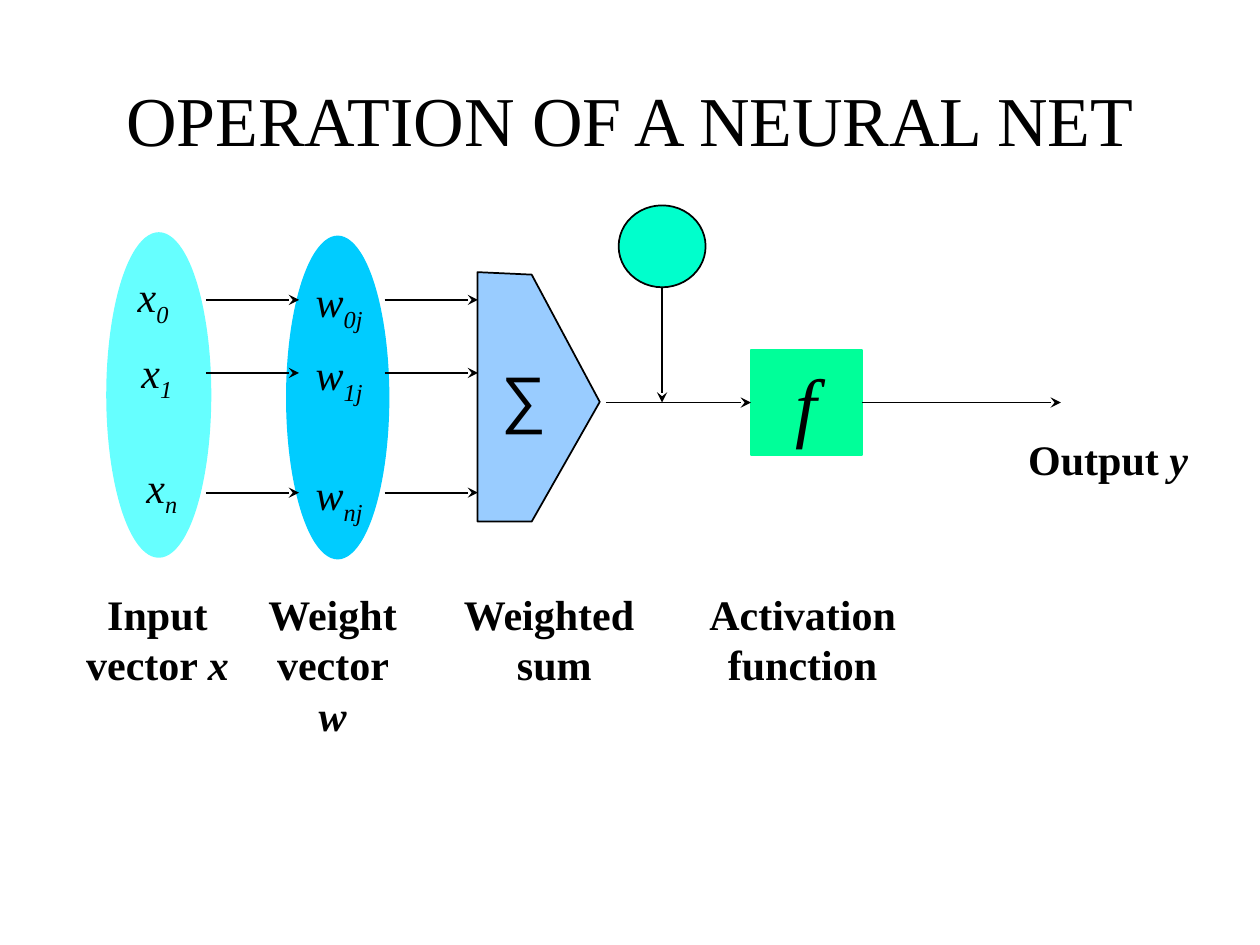
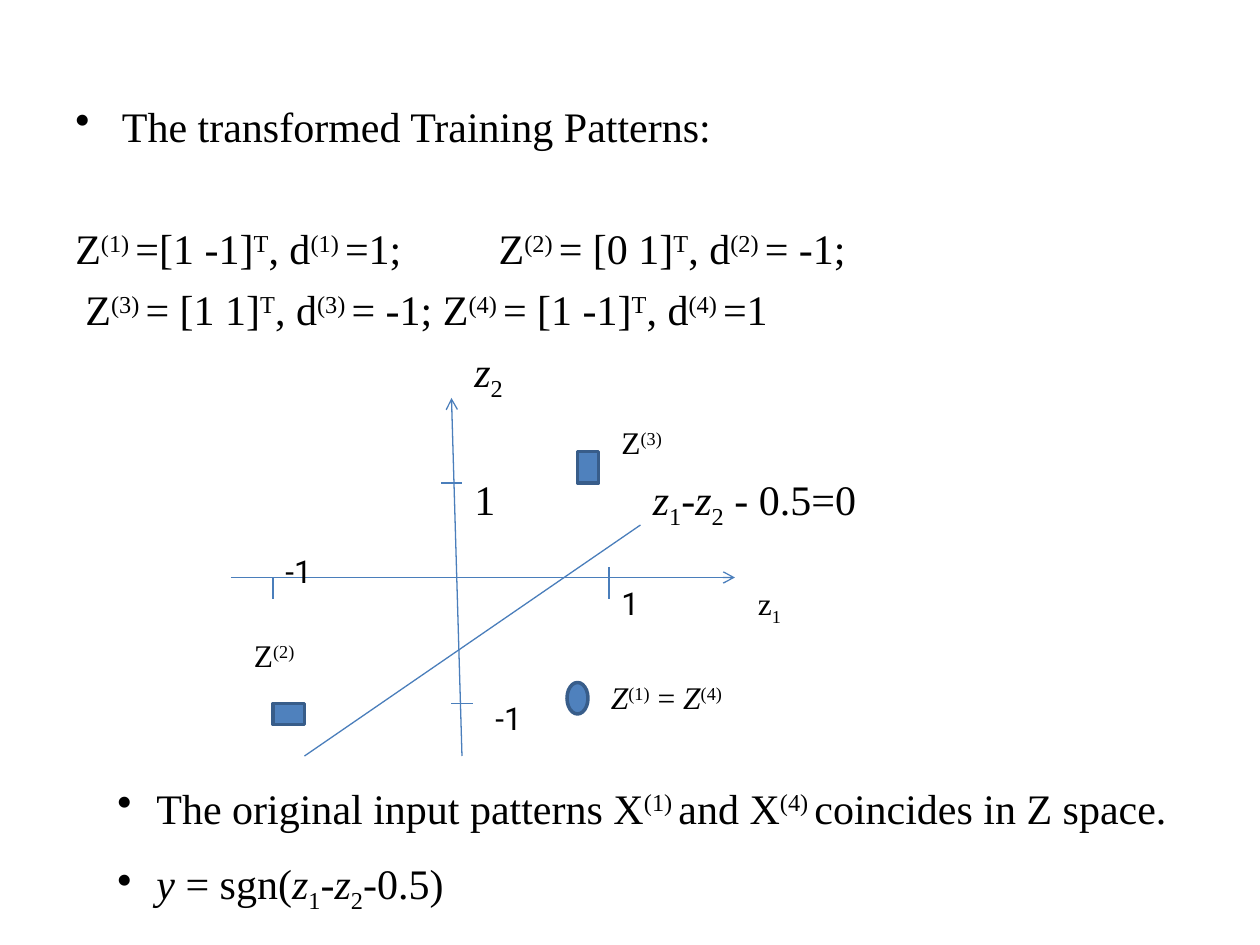
import dataclasses

import lxml.etree
import pptx
import pptx.dml.color
import pptx.enum.shapes
import pptx.enum.text
import pptx.oxml.ns
import pptx.util

WIDTH, HEIGHT = pptx.util.Inches(10), pptx.util.Inches(7.5)
SERIF, SIGMA_FONT, TICK_FONT = "Times New Roman", "Arial", "Roboto"
BLACK = "000000"
INPUT_FILL, WEIGHT_FILL, SUM_FILL = "66FFFF", "00CCFF", "99CCFF"
BIAS_FILL, ACTIVATION_FILL = "00FFCC", "00FF99"
AXIS, MARKER_FILL, MARKER_LINE = "4A7EBB", "4F81BD", "385D8A"
SHAPE = pptx.enum.shapes.MSO_SHAPE
ALIGN = pptx.enum.text.PP_ALIGN
ANCHOR = pptx.enum.text.MSO_ANCHOR
BASELINES = {"^": "30000", "_": "-25000"}


@dataclasses.dataclass
class Panel:
    """A box in shares of the slide, divided into columns and rows."""
    slide: object
    left: float
    top: float
    width: float
    height: float
    columns: int = 1
    rows: int = 1

    def size(self, columns, rows):
        return (round(WIDTH * self.width * columns / self.columns),
                round(HEIGHT * self.height * rows / self.rows))

    def point(self, column, row):
        x, y = self.size(column, row)
        return round(WIDTH * self.left) + x, round(HEIGHT * self.top) + y

    def place(self, column, row, columns, rows):
        return self.point(column, row) + self.size(columns, rows)


def color(value):
    return pptx.dml.color.RGBColor.from_string(value)


def add_xml(parent, tag, **attributes):
    return lxml.etree.SubElement(parent, pptx.oxml.ns.qn(tag), attributes)


def add_runs(paragraph, markup):
    """Split at |; a piece may start with / (italic), ^ (raised) or _ (lowered)."""
    for piece in markup.split("|"):
        run = paragraph.add_run()
        while piece[0] in "/^_":
            if piece[0] == "/":
                run.font.italic = True
            else:
                run.font._element.set("baseline", BASELINES[piece[0]])
            piece = piece[1:]
        run.text = piece


def write(frame, lines, size=24, font=SERIF, bold=None, align=ALIGN.LEFT,
          wrap=True, anchor=ANCHOR.TOP):
    """Fill a frame; a line is markup or (markup, space before, indent, bulleted, tab)."""
    frame.word_wrap, frame.vertical_anchor = wrap, anchor
    for number, line in enumerate(lines):
        markup, space, indent, bulleted, tab = (
            (line, 0, 0, False, None) if isinstance(line, str) else line)
        paragraph = frame.paragraphs[0] if number == 0 else frame.add_paragraph()
        paragraph.alignment = align
        if space:
            paragraph.space_before = pptx.util.Pt(space)
        properties = paragraph._p.get_or_add_pPr()
        if indent:
            properties.set("marL", str(pptx.util.Inches(indent)))
        if bulleted:
            properties.set("indent", str(-pptx.util.Inches(indent)))
            add_xml(properties, "a:buChar", char="•")
        if tab:
            add_xml(add_xml(properties, "a:tabLst"), "a:tab",
                    pos=str(pptx.util.Inches(tab)), algn="l")
        paragraph.font.name, paragraph.font.size = font, pptx.util.Pt(size)
        paragraph.font.bold = bold
        paragraph.font.color.rgb = color(BLACK)
        add_runs(paragraph, markup)


def add_text(panel, box, *lines, **style):
    write(panel.slide.shapes.add_textbox(*panel.place(*box)).text_frame, lines, **style)


def paint(shape, fill, line=None, weight=1):
    shape.shadow.inherit = False
    shape.fill.solid()
    shape.fill.fore_color.rgb = color(fill)
    if line:
        shape.line.color.rgb = color(line)
        shape.line.width = pptx.util.Pt(weight)
    else:
        shape.line.fill.background()
    return shape


def add_shape(panel, kind, box, *look):
    return paint(panel.slide.shapes.add_shape(kind, *panel.place(*box)), *look)


def add_line(panel, start, end, line=BLACK, weight=1, head=None):
    connector = panel.slide.shapes.add_connector(
        pptx.enum.shapes.MSO_CONNECTOR.STRAIGHT, *panel.point(*start), *panel.point(*end))
    connector.line.color.rgb = color(line)
    connector.line.width = pptx.util.Pt(weight)
    properties = connector._element.spPr
    if head:
        add_xml(properties.find(pptx.oxml.ns.qn("a:ln")), "a:tailEnd", type=head)
    add_xml(properties, "a:effectLst")
    return connector


def draw_vectors(panel):
    """Input and weight ellipses with their elements and the arrows between them."""
    add_shape(panel, SHAPE.OVAL, (21.24, 4.44, 9.84, 30.84), WEIGHT_FILL)
    add_shape(panel, SHAPE.OVAL, (4.2, 4.2, 9.84, 30.84), INPUT_FILL, INPUT_FILL)
    elements = [("0", 10.56, 5.88, 7.2), ("1", 17.52, 6.24, 14.4), ("n", 28.92, 6.72, 25.32)]
    for index, row, input_column, input_row in elements:
        for start in (13.6, 30.64):
            add_line(panel, (start, row), (start + 8.88, row), head="stealth")
        add_text(panel, (22.8, row - 2.88, 7, 6.72), f"/w|_/{index}j",
                 align=ALIGN.CENTER, wrap=False)
        add_text(panel, (input_column, input_row, 5.4, 6.72), f"/x|_/{index}",
                 align=ALIGN.CENTER, wrap=False)


def draw_neuron(panel):
    """Weighted sum, bias and activation function, ending in the output arrow."""
    middle = 20.34
    corners = [(39.48, 7.92), (39.48, 31.68), (44.64, 31.68), (51.12, 20.28), (44.64, 8.16)]
    outline = panel.slide.shapes.build_freeform(*panel.point(*corners[0]))
    outline.add_line_segments([panel.point(*corner) for corner in corners[1:]])
    paint(outline.convert_to_shape(), SUM_FILL, BLACK)
    add_text(panel, (40.56, 15.6, 6.6, 8.4), "∑", size=36, font=SIGMA_FONT,
             align=ALIGN.CENTER, wrap=False)

    activation = add_shape(panel, SHAPE.RECTANGLE, (65.52, 15.36, 10.56, 9.96),
                           ACTIVATION_FILL, ACTIVATION_FILL)
    write(activation.text_frame, ["/f"], size=44, align=ALIGN.CENTER)
    add_line(panel, (51.72, middle), (65.52, middle), head="stealth").end_connect(activation, 1)
    add_line(panel, (76.08, middle), (95.04, middle), head="stealth").begin_connect(activation, 3)

    add_shape(panel, SHAPE.OVAL, (52.92, 1.56, 8.28, 7.8), BIAS_FILL, BLACK)
    add_line(panel, (57.06, 9.36), (57.06, middle), head="stealth")


def label_parts(panel):
    caption = dict(bold=True, align=ALIGN.CENTER)
    for column, columns, *lines in [(0.96, 16.08, "Input", "vector |/x"),
                                    (36.84, 19.92, "Weighted ", "sum"),
                                    (60.36, 20.16, "Activation", "function")]:
        add_text(panel, (column, 37.44, columns, 10.8), *lines, wrap=False, **caption)
    add_text(panel, (17.4, 37.44, 16.56, 15.6), "Weight", "vector |/w", **caption)
    add_text(panel, (90.72, 22.68, 17.64, 6), "Output |/y", wrap=False, **caption)


def build_operation_slide(slide):
    add_text(Panel(slide, 0.05, 0.04, 0.9, 0.17), (0, 0, 1, 1), "OPERATION OF A NEURAL NET",
             size=40, align=ALIGN.CENTER, anchor=ANCHOR.MIDDLE)
    diagram = Panel(slide, 0.05, 0.2, 0.9, 0.6, 108, 54)
    draw_vectors(diagram)
    draw_neuron(diagram)
    label_parts(diagram)


def list_patterns(panel):
    add_text(panel, (0, 0, 1, 1),
             ("The transformed Training Patterns:", 0, 0.37, True, None),
             ("Z|^(1) |=[1 -1]|^T|, d|^(1) |=1; \tZ|^(2) |= [0 1]|^T|, d|^(2) |= -1;",
              41, 0, False, 3.36),
             ("Z|^(3) |= [1 1]|^T|, d|^(3) |= -1; Z|^(4) |= [1 -1]|^T|, d|^(4) |=1",
              6, 0.08, False, None))


def draw_plane(panel):
    """The z plane: axes, ticks, separating line and transformed patterns."""
    for start, end in [((4, 28), (52, 28)), ((26, 45), (25, 10.9))]:
        add_line(panel, start, end, AXIS, 0.75, "arrow")
    ticks = [((25, 40), (27, 40)), ((24, 19), (26, 19)),
             ((8, 28), (8, 30)), ((40, 27), (40, 30))]
    separator = ((11, 45), (43, 23))
    for start, end in [separator, *ticks]:
        add_line(panel, start, end, AXIS, 0.75)

    for kind, *box in [(SHAPE.FLOWCHART_CONNECTOR, 36, 38, 2, 3),
                       (SHAPE.RECTANGLE, 37, 16, 2, 3),
                       (SHAPE.RECTANGLE, 8, 40, 3, 2)]:
        add_shape(panel, kind, box, MARKER_FILL, MARKER_LINE, 2)

    labels = [
        ("/z|_2", 26, 5.3, 7, 24, SERIF),
        ("1", 26, 17.5, 5, 24, SERIF),
        ("/z|_1|-|/z|_2| - 0.5=0", 43, 17.5, 24, 24, SERIF),
        ("z|_1", 53, 28, 7, 18, SERIF),
        ("Z|^(3)", 40, 12.7, 8, 18, SERIF),
        ("Z|^(2)", 5, 33, 8, 18, SERIF),
        ("/Z|^(1)| = |/Z|^(4)", 39, 37, 16, 18, SERIF),
        ("-1", 28, 39, 7, 18, TICK_FONT),
        ("-1", 8, 25, 6, 18, TICK_FONT),
        ("1", 40, 28, 5, 18, TICK_FONT),
    ]
    for label, column, row, columns, size, font in labels:
        add_text(panel, (column, row, columns, size / 4), label, size=size, font=font)


def list_conclusions(panel):
    add_text(panel, (1, 1, 104, 14),
             ("The original input patterns X|^(1) |and X|^(4) |coincides in Z space.",
              0, 0.31, True, None),
             ("/y |= sgn(|/z|_1|-|/z|_2|-0.5)", 14, 0.31, True, None))


def build_patterns_slide(slide):
    list_patterns(Panel(slide, 0.05, 0.1, 0.9, 0.2))
    draw_plane(Panel(slide, 0.15, 0.3, 0.6, 0.5, 72, 45))
    list_conclusions(Panel(slide, 0.075, 0.81, 0.875, 0.18, 105, 16.2))


def main():
    presentation = pptx.Presentation()
    presentation.slide_width, presentation.slide_height = WIDTH, HEIGHT
    for build in (build_operation_slide, build_patterns_slide):
        build(presentation.slides.add_slide(presentation.slide_layouts[6]))
    presentation.save("out.pptx")


if __name__ == "__main__":
    main()
